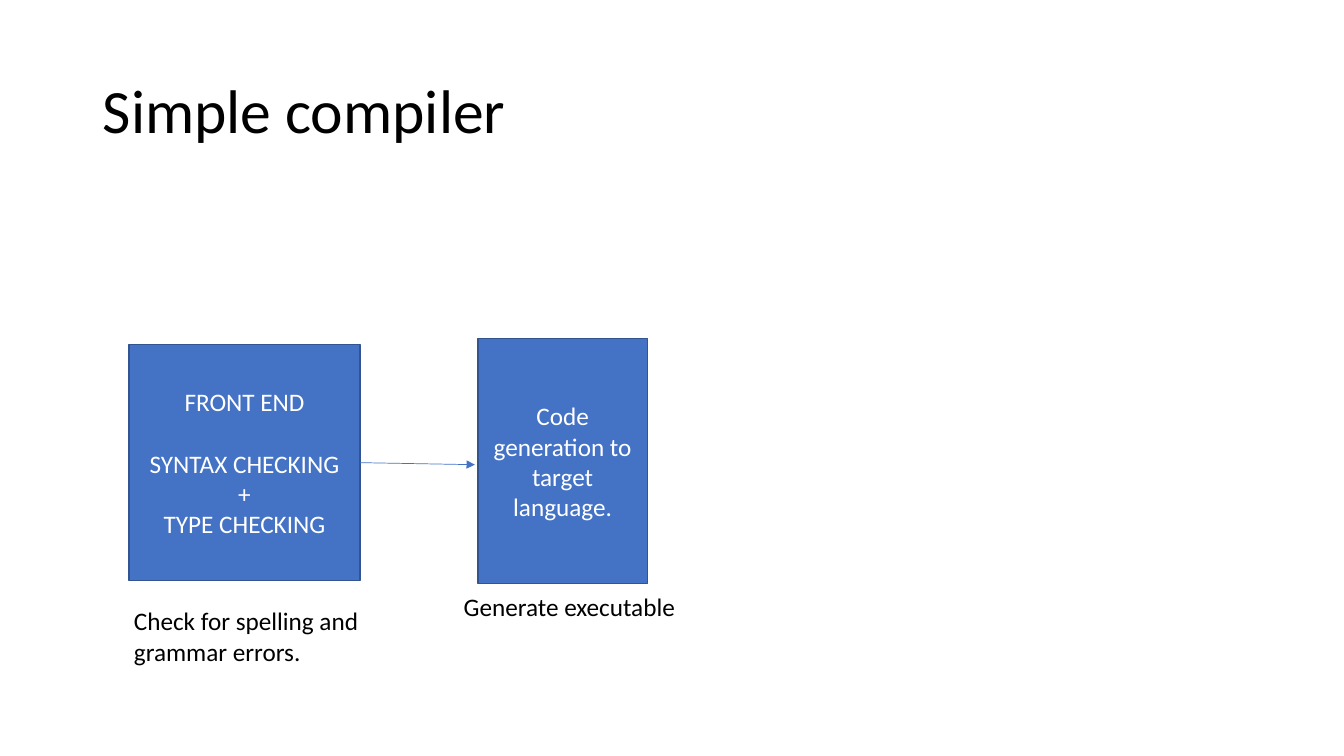
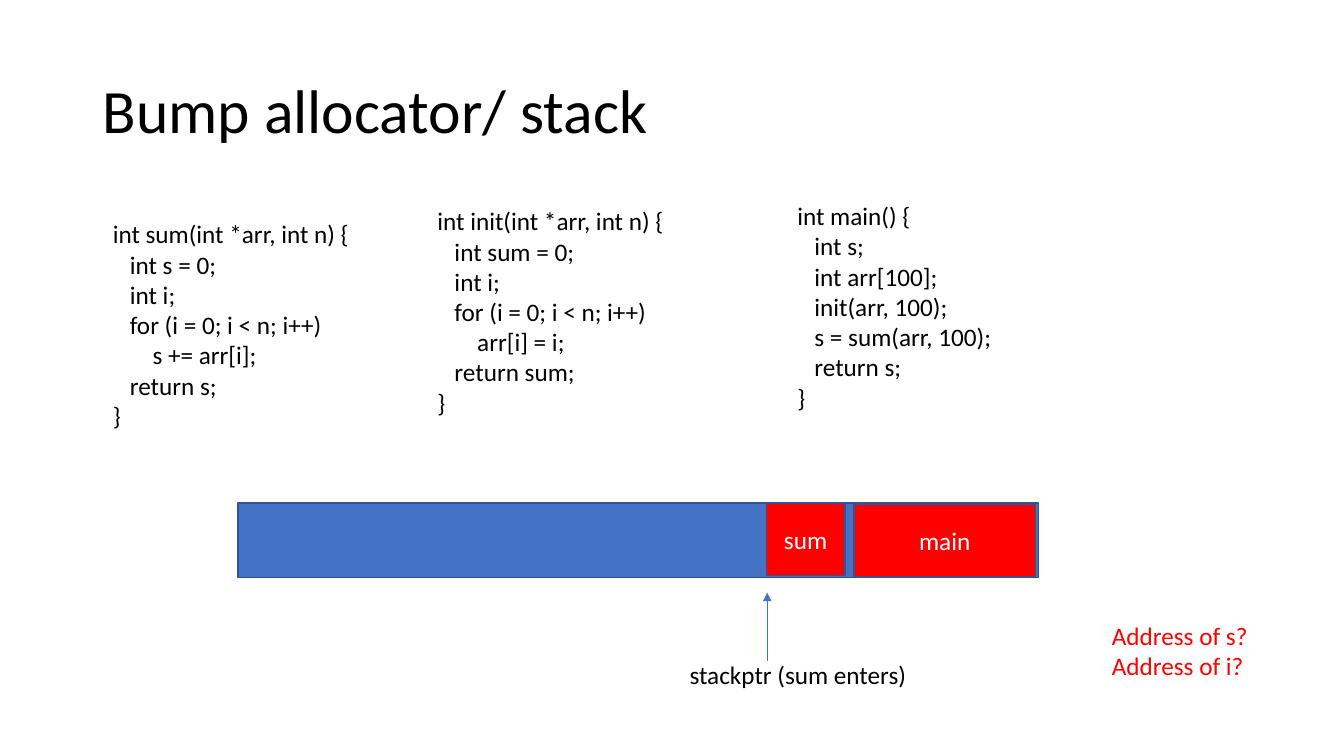
from pptx import Presentation
from pptx.dml.color import RGBColor
from pptx.enum.shapes import MSO_CONNECTOR, MSO_SHAPE
from pptx.enum.text import MSO_ANCHOR, PP_ALIGN
from pptx.oxml.ns import qn
from pptx.util import Inches, Pt
from lxml import etree

# Shared style
FONT = "Calibri"
BLUE, EDGE, RED = "4472C4", "325491", "FF0000"
BLACK, WHITE = "000000", "FFFFFF"

SUM_CODE = """int sum(int *arr, int n) {
   int s = 0;
   int i;
   for (i = 0; i < n; i++)
       s += arr[i];
   return s;
}"""
INIT_CODE = """int init(int *arr, int n) {
   int sum = 0;
   int i;
   for (i = 0; i < n; i++)
       arr[i] = i;
   return sum;
}"""
MAIN_CODE = """int main() {
   int s;
   int arr[100];
   init(arr, 100);
   s = sum(arr, 100);
   return s;
}"""


def rgb(color):
    return RGBColor.from_string(color)


def write(tf, text, size=18, color=BLACK, align=PP_ALIGN.LEFT,
          anchor=MSO_ANCHOR.TOP, spacing=None):
    """Fill a text frame, one paragraph per line of text."""
    tf.word_wrap = True
    tf.vertical_anchor = anchor
    for i, line in enumerate(text.split("\n")):
        p = tf.add_paragraph() if i else tf.paragraphs[0]
        p.alignment = align
        p.line_spacing = spacing
        r = p.add_run()
        r.text = line
        r.font.name = FONT
        r.font.size = Pt(size)
        r.font.color.rgb = rgb(color)


def add_slide(prs, title):
    s = prs.slides.add_slide(prs.slide_layouts[5])
    sp = s.shapes.title
    sp.left, sp.top = Inches(0.92), Inches(0.4)
    sp.width, sp.height = Inches(11.5), Inches(1.45)
    write(sp.text_frame, title, size=44, anchor=MSO_ANCHOR.MIDDLE, spacing=0.9)
    return s


def add_text(s, x, y, w, h, text, **fmt):
    sp = s.shapes.add_textbox(Inches(x), Inches(y), Inches(w), Inches(h))
    write(sp.text_frame, text, **fmt)


def add_box(s, x, y, w, h, text="", fill=BLUE):
    sp = s.shapes.add_shape(MSO_SHAPE.RECTANGLE, Inches(x), Inches(y),
                            Inches(w), Inches(h))
    sp.shadow.inherit = False
    sp.fill.solid()
    sp.fill.fore_color.rgb = rgb(fill)
    sp.line.color.rgb = rgb(EDGE)
    sp.line.width = Pt(1)
    if text:
        write(sp.text_frame, text, color=WHITE, align=PP_ALIGN.CENTER,
              anchor=MSO_ANCHOR.MIDDLE)
    return sp


def add_arrow(s, x1, y1, x2, y2):
    line = s.shapes.add_connector(MSO_CONNECTOR.STRAIGHT, Inches(x1),
                                  Inches(y1), Inches(x2), Inches(y2))
    line.line.color.rgb = rgb(BLUE)
    line.line.width = Pt(0.5)
    etree.SubElement(line.line._get_or_add_ln(), qn("a:tailEnd"),
                     type="triangle")
    etree.SubElement(line._element.spPr, qn("a:effectLst"))


def compiler_slide(prs):
    s = add_slide(prs, "Simple compiler")
    # Compiler stages
    front = add_box(s, 1.28, 3.42, 2.29, 2.34,
                    "FRONT END\nSYNTAX CHECKING\n+\nTYPE CHECKING")
    front.text_frame.paragraphs[1].space_before = Pt(22)
    add_box(s, 4.74, 3.36, 1.68, 2.43, "Code generation to target language.")
    add_arrow(s, 3.57, 4.59, 4.71, 4.61)
    # Captions
    add_text(s, 1.23, 5.96, 3.11, 0.71, "Check for spelling and grammar errors.")
    add_text(s, 4.5, 5.82, 3.11, 0.4, "Generate executable")


def stack_slide(prs):
    s = add_slide(prs, "Bump allocator/ stack")
    # Code listings
    for x, y, code in ((1.02, 2.12, SUM_CODE), (4.24, 1.99, INIT_CODE),
                       (7.81, 1.94, MAIN_CODE)):
        add_text(s, x, y, 2.61, 2.52, code)
    # Stack memory and its frames
    add_box(s, 2.36, 4.99, 7.94, 0.74)
    add_box(s, 8.47, 5, 1.8, 0.72, "main", fill=RED)
    add_box(s, 7.6, 4.99, 0.78, 0.72, "sum", fill=RED)
    # Stack pointer and questions
    add_arrow(s, 7.61, 6.56, 7.61, 5.88)
    add_text(s, 6.74, 6.49, 2.91, 0.4, "stackptr (sum enters)")
    add_text(s, 10.93, 6.1, 2, 0.71, "Address of s?\nAddress of i?", color=RED)


def main():
    prs = Presentation()
    prs.slide_width, prs.slide_height = Inches(13.33), Inches(7.5)
    compiler_slide(prs)
    stack_slide(prs)
    prs.save("out.pptx")


if __name__ == "__main__":
    main()
